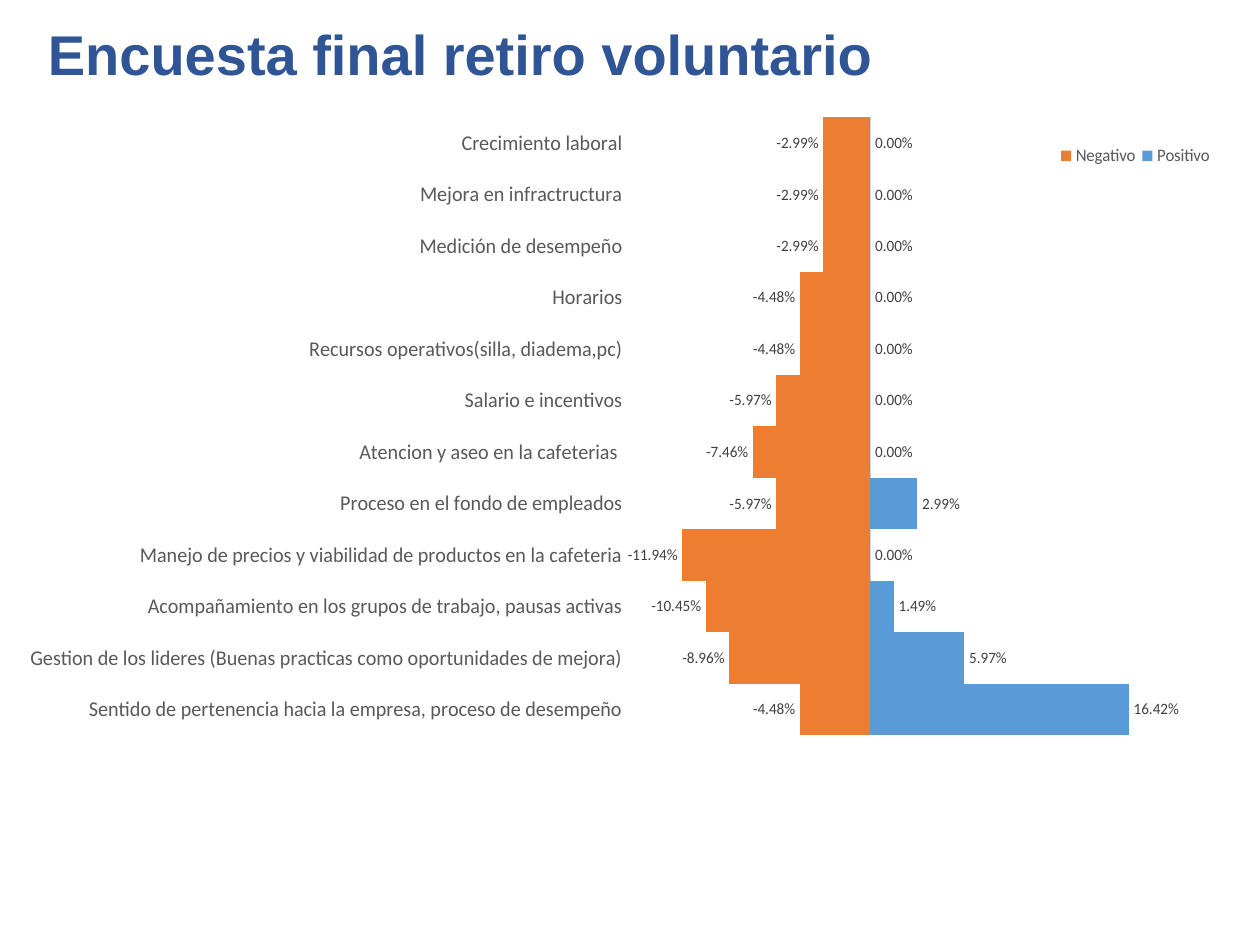
"""Builds the voluntary exit survey slide with its diverging bar chart."""
import pptx
import pptx.chart.data
import pptx.dml.color
import pptx.enum.chart
import pptx.enum.text
import pptx.oxml
import pptx.oxml.ns
import pptx.util
from pptx.util import Inches

RGBColor = pptx.dml.color.RGBColor
NAVY = RGBColor(0x2F, 0x55, 0x97)
BLUE = RGBColor(0x5B, 0x9B, 0xD5)
ORANGE = RGBColor(0xED, 0x7D, 0x31)
BLACK = RGBColor(0, 0, 0)
GRAY = RGBColor(0x59, 0x59, 0x59)
DARK_GRAY = RGBColor(0x40, 0x40, 0x40)
LIGHT_GRAY = RGBColor(0xD9, 0xD9, 0xD9)

SURVEY = [
    ("Sentido de pertenencia hacia la empresa, proceso de desempeño", 0.1642, -0.0448),
    ("Gestion de los lideres (Buenas practicas como oportunidades de mejora)", 0.0597, -0.0896),
    ("Acompañamiento en los grupos de trabajo, pausas activas", 0.0149, -0.1045),
    ("Manejo de precios y viabilidad de productos en la cafeteria", 0, -0.1194),
    ("Proceso en el fondo de empleados", 0.0299, -0.0597),
    ("Atencion y aseo en la cafeterias ", 0, -0.0746),
    ("Salario e incentivos", 0, -0.0597),
    ("Recursos operativos(silla, diadema,pc)", 0, -0.0448),
    ("Horarios", 0, -0.0448),
    ("Medición de desempeño", 0, -0.0299),
    ("Mejora en infractructura", 0, -0.0299),
    ("Crecimiento laboral", 0, -0.0299),
]


def set_font(font, name, size, color):
    font.name = name
    font.size = pptx.util.Pt(size)
    font.color.rgb = color


def make_layout(x, y, w, h, target=""):
    return pptx.oxml.parse_xml(
        f'<c:layout {pptx.oxml.ns.nsdecls("c")}><c:manualLayout>{target}'
        '<c:xMode val="edge"/><c:yMode val="edge"/>'
        f'<c:x val="{x}"/><c:y val="{y}"/><c:w val="{w}"/><c:h val="{h}"/>'
        '</c:manualLayout></c:layout>')


prs = pptx.Presentation()
prs.slide_width = Inches(10)
prs.slide_height = Inches(7.5)
s = prs.slides.add_slide(prs.slide_layouts[5])

title = s.shapes.title
title.left, title.top = Inches(0.28), Inches(0.1)
title.width, title.height = Inches(6.92), Inches(0.64)
tf = title.text_frame
tf.text = "Encuesta final retiro voluntario"
tf.word_wrap = True
tf.auto_size = pptx.enum.text.MSO_AUTO_SIZE.NONE
p = tf.paragraphs[0]
p.alignment = pptx.enum.text.PP_ALIGN.LEFT
r = p.runs[0]
set_font(r.font, "Arial", 32, NAVY)
r.font.bold = True

data = pptx.chart.data.CategoryChartData(number_format="0.00%")
data.categories = [row[0] for row in SURVEY]
data.add_series("Positivo", [row[1] for row in SURVEY])
data.add_series("Negativo", [row[2] for row in SURVEY])
chart = s.shapes.add_chart(
    pptx.enum.chart.XL_CHART_TYPE.BAR_CLUSTERED,
    Inches(0.24), Inches(0.85), Inches(9.6), Inches(5.53), data).chart
chart.has_title = False
set_font(chart.font, "Calibri", 10, BLACK)

plot = chart.plots[0]
plot.vary_by_categories = False
plot.gap_width = 0
plot.overlap = 100
for series, color in zip(plot.series, (BLUE, ORANGE)):
    series.invert_if_negative = False
    series.format.fill.solid()
    series.format.fill.fore_color.rgb = color
    labels = series.data_labels
    labels.show_value = True
    labels.number_format = "0.00%"
    labels.number_format_is_linked = False
    labels.position = pptx.enum.chart.XL_LABEL_POSITION.OUTSIDE_END
    set_font(labels.font, "Calibri", 9, DARK_GRAY)

axis = chart.category_axis
axis.tick_label_position = pptx.enum.chart.XL_TICK_LABEL_POSITION.LOW
axis.major_tick_mark = pptx.enum.chart.XL_TICK_MARK.NONE
axis.format.line.color.rgb = LIGHT_GRAY
axis.format.line.width = pptx.util.Pt(0.75)
set_font(axis.tick_labels.font, "Calibri", 12, GRAY)
chart.value_axis.has_major_gridlines = False
chart.value_axis.visible = False

chart.has_legend = True
legend = chart.legend
legend.position = pptx.enum.chart.XL_LEGEND_POSITION.BOTTOM
legend.include_in_layout = False
set_font(legend.font, "Calibri", 10, GRAY)

c = pptx.oxml.ns.qn
plot_area = chart.element.find(".//" + c("c:plotArea"))
for old in plot_area.findall(c("c:layout")):
    plot_area.remove(old)
plot_area.insert(0, make_layout(0.478, 0.015, 0.475, 0.887, '<c:layoutTarget val="inner"/>'))
legend_xml = chart.element.find(".//" + c("c:legend"))
for old in legend_xml.findall(c("c:layout")):
    legend_xml.remove(old)
legend_xml.find(c("c:legendPos")).addnext(make_layout(0.84, 0.04, 0.14, 0.06))

prs.save("out.pptx")
